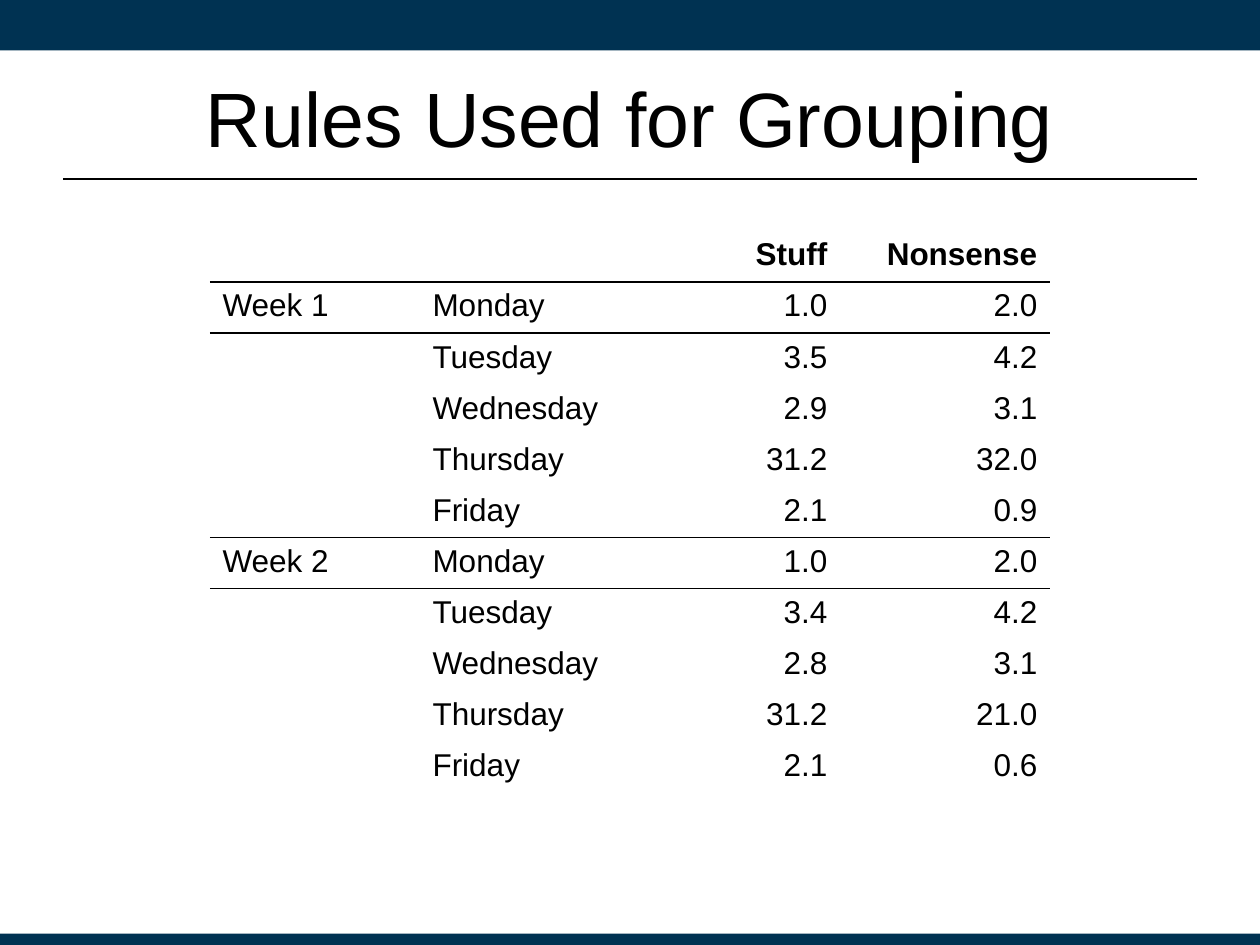
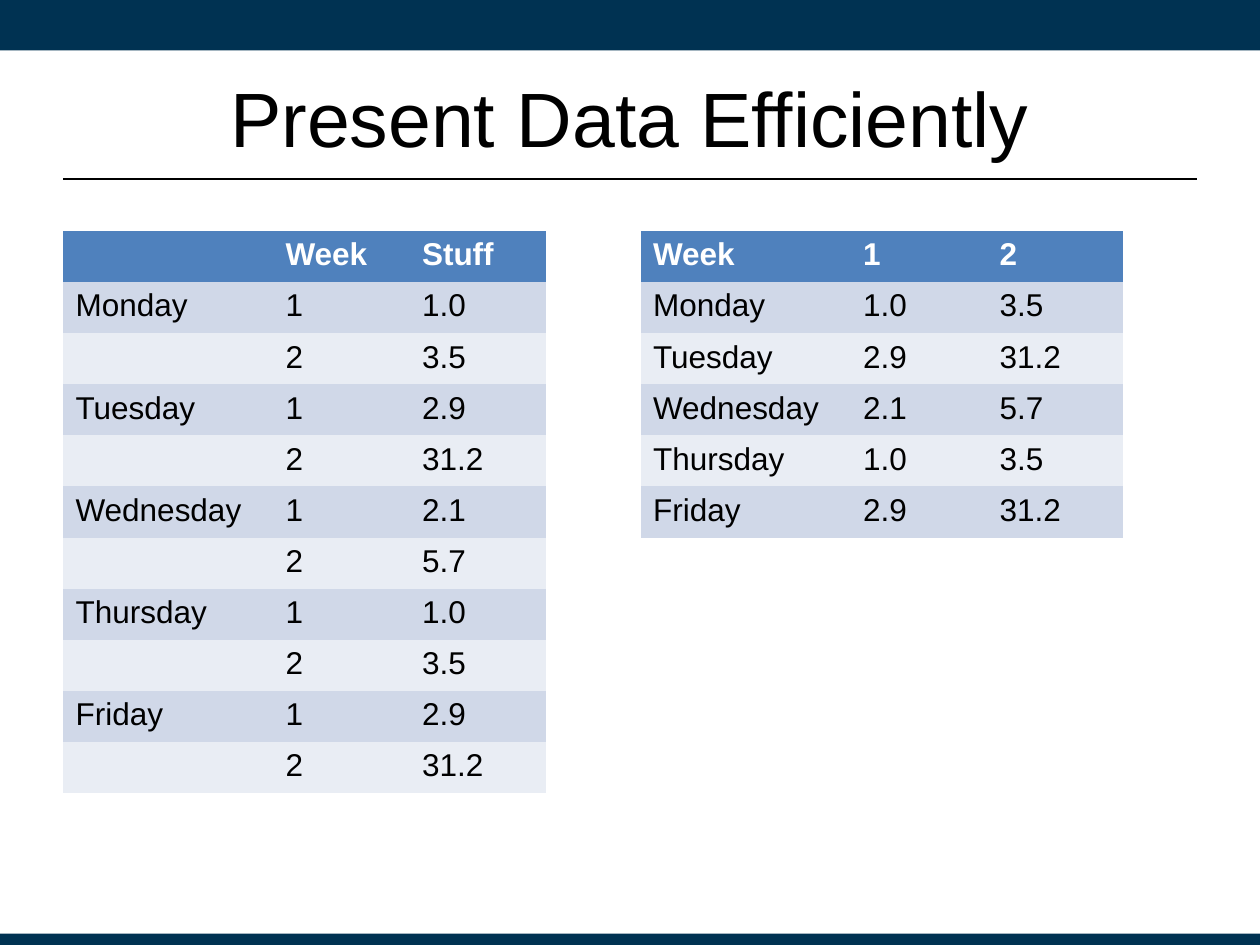
from lxml.etree import SubElement
from pptx import Presentation
from pptx.dml.color import RGBColor
from pptx.enum.shapes import MSO_CONNECTOR, MSO_SHAPE
from pptx.enum.text import MSO_ANCHOR, PP_ALIGN
from pptx.oxml import parse_xml
from pptx.oxml.ns import nsdecls, qn
from pptx.util import Pt

DAYS = ["Monday", "Tuesday", "Wednesday", "Thursday", "Friday"]

GROUPED_HEADER = ["", "", "Stuff", "Nonsense"]
GROUPED_WEEKS = {
    "Week 1": [("1.0", "2.0"), ("3.5", "4.2"), ("2.9", "3.1"), ("31.2", "32.0"), ("2.1", "0.9")],
    "Week 2": [("1.0", "2.0"), ("3.4", "4.2"), ("2.8", "3.1"), ("31.2", "21.0"), ("2.1", "0.6")],
}

LONG_HEADER = ["", "Week", "Stuff"]
WIDE_HEADER = ["Week", "1", "2"]
STUFF_BY_DAY = [("1.0", "3.5"), ("2.9", "31.2"), ("2.1", "5.7"), ("1.0", "3.5"), ("2.9", "31.2")]

COLORS = {
    "band": "003252",
    "text": "000000",
    "header": "4F81BD",
    "header_text": "FFFFFF",
    "odd_row": "D0D8E8",
    "even_row": "E9EDF4",
}
FONT = "Arial"
SLIDE_WIDTH, SLIDE_HEIGHT = 720, 540
MARGIN = 36
BANDS = [(0, 28.8), (533.5, 6.5)]
RULE_TOP = 102.2
TABLE_TOP, ROW_HEIGHT = 132, 29.2
GROUPED_COLUMNS = [120] * 4
DAY_COLUMNS = [120, 78, 78]
NO_GRID_STYLE = "{2D5ABB26-0587-4C30-8999-92F81FD0307C}"


def color(name):
    return RGBColor.from_string(COLORS[name])


def format_font(paragraph, size, color_name, bold=False):
    for run in paragraph.runs:
        run.font.name = FONT
        run.font.size = Pt(size)
        run.font.bold = bold
        run.font.color.rgb = color(color_name)


def add_slide(presentation, title_text):
    slide = presentation.slides.add_slide(presentation.slide_layouts[5])
    for top, height in BANDS:
        band = slide.shapes.add_shape(MSO_SHAPE.RECTANGLE, 0, Pt(top), Pt(SLIDE_WIDTH), Pt(height))
        band.shadow.inherit = False
        band.fill.solid()
        band.fill.fore_color.rgb = color("band")
        band.line.fill.background()
    rule = slide.shapes.add_connector(
        MSO_CONNECTOR.STRAIGHT, Pt(MARGIN), Pt(RULE_TOP), Pt(SLIDE_WIDTH - MARGIN), Pt(RULE_TOP))
    rule.line.color.rgb = color("text")
    rule.line.width = Pt(1.25)
    SubElement(rule._element.spPr, qn("a:effectLst"))

    title = slide.shapes.title
    title.left, title.top = Pt(MARGIN), Pt(21.6)
    title.width, title.height = Pt(SLIDE_WIDTH - 2 * MARGIN), Pt(90)
    title.text_frame.text = title_text
    title.text_frame.vertical_anchor = MSO_ANCHOR.MIDDLE
    paragraph = title.text_frame.paragraphs[0]
    paragraph.alignment = PP_ALIGN.CENTER
    format_font(paragraph, 44, "text")
    return slide


def add_table(slide, left, column_widths, rows, header_color="header_text"):
    frame = slide.shapes.add_table(
        len(rows), len(column_widths), Pt(left), Pt(TABLE_TOP),
        Pt(sum(column_widths)), Pt(ROW_HEIGHT * len(rows)))
    table = frame.table
    table.horz_banding = False
    table._tbl.tblPr.find(qn("a:tableStyleId")).text = NO_GRID_STYLE
    for column, width in zip(table.columns, column_widths):
        column.width = Pt(width)
    for row_index, values in enumerate(rows):
        table.rows[row_index].height = Pt(ROW_HEIGHT)
        is_header = row_index == 0
        for column_index, value in enumerate(values):
            cell = table.cell(row_index, column_index)
            cell.fill.background()
            cell.text_frame.text = value
            format_font(cell.text_frame.paragraphs[0], 18,
                        header_color if is_header else "text", bold=is_header)
    return table


def fill_bands(table):
    for row_index, row in enumerate(table.rows):
        name = "header" if row_index == 0 else ("even_row", "odd_row")[row_index % 2]
        for cell in row.cells:
            cell.fill.solid()
            cell.fill.fore_color.rgb = color(name)


def add_border(cell, side):
    cell._tc.get_or_add_tcPr().insert(0, parse_xml(
        f'<a:{side} {nsdecls("a")} w="{Pt(1)}"><a:solidFill>'
        f'<a:srgbClr val="{COLORS["text"]}"/></a:solidFill></a:{side}>'))


def rule_below(table, row_index):
    for column_index in range(len(table.columns)):
        add_border(table.cell(row_index, column_index), "lnB")
        add_border(table.cell(row_index + 1, column_index), "lnT")


def build_grouping_slide(presentation):
    slide = add_slide(presentation, "Rules Used for Grouping")
    rows = [GROUPED_HEADER]
    for week, values in GROUPED_WEEKS.items():
        for index, (day, pair) in enumerate(zip(DAYS, values)):
            rows.append([week if index == 0 else "", day, *pair])
    left = (SLIDE_WIDTH - sum(GROUPED_COLUMNS)) / 2
    table = add_table(slide, left, GROUPED_COLUMNS, rows, "text")
    for row in table.rows:
        for column_index in (2, 3):
            row.cells[column_index].text_frame.paragraphs[0].alignment = PP_ALIGN.RIGHT
    for week_index in range(len(GROUPED_WEEKS)):
        rule_below(table, week_index * len(DAYS))


def build_efficiency_slide(presentation):
    slide = add_slide(presentation, "Present Data Efficiently")
    long_rows, wide_rows = [LONG_HEADER], [WIDE_HEADER]
    for day, (first, second) in zip(DAYS, STUFF_BY_DAY):
        long_rows += [[day, "1", first], ["", "2", second]]
        wide_rows.append([day, first, second])
    for left, rows in ((MARGIN, long_rows), (366, wide_rows)):
        fill_bands(add_table(slide, left, DAY_COLUMNS, rows))


def main():
    presentation = Presentation()
    presentation.slide_width, presentation.slide_height = Pt(SLIDE_WIDTH), Pt(SLIDE_HEIGHT)
    build_grouping_slide(presentation)
    build_efficiency_slide(presentation)
    presentation.save("out.pptx")


if __name__ == "__main__":
    main()
